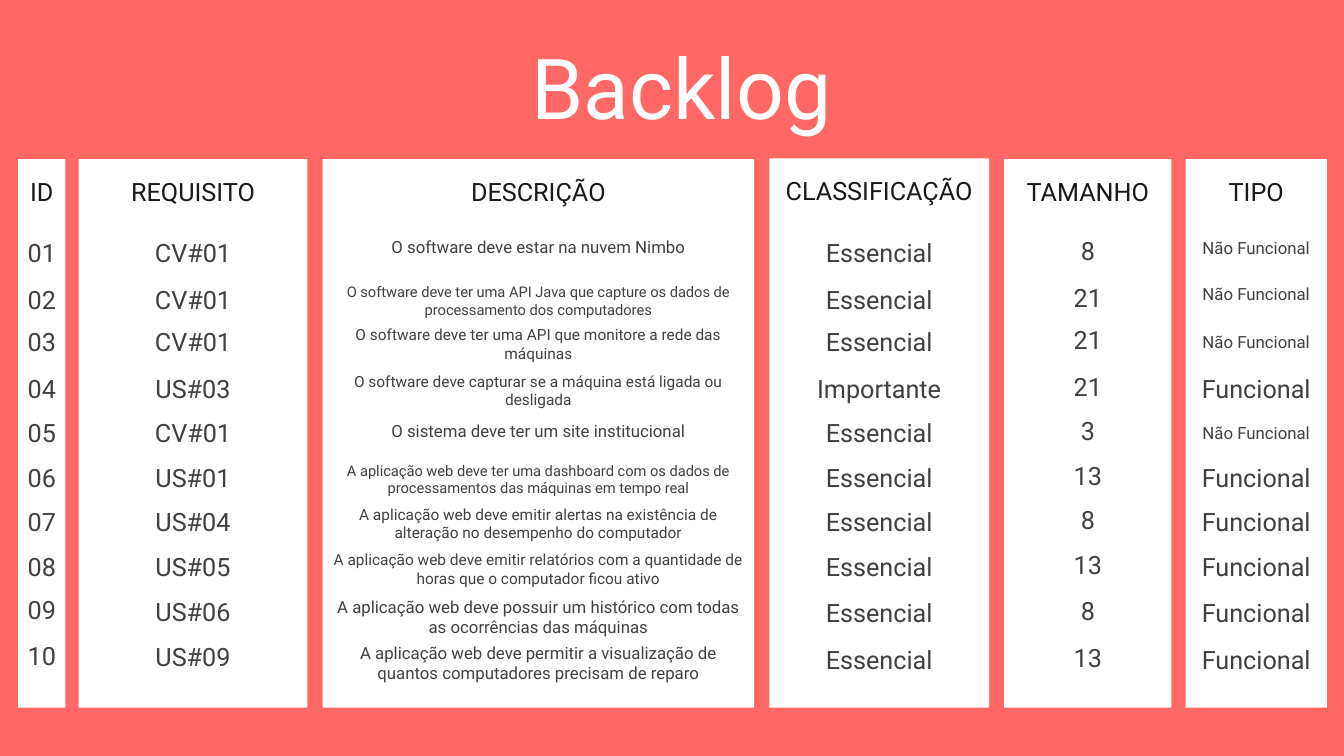
import pptx
import pptx.util
import pptx.dml.color
import pptx.enum.shapes
import pptx.enum.text

Inches = pptx.util.Inches
Pt = pptx.util.Pt
RGBColor = pptx.dml.color.RGBColor

CORAL = RGBColor(0xFF, 0x68, 0x64)
WHITE = RGBColor(0xFF, 0xFF, 0xFF)
HEADING = RGBColor(0x19, 0x19, 0x19)
BODY = RGBColor(0x40, 0x40, 0x40)


def write_text(shape, text, size, color, side_margin=0, end_margin=0, spacing=None):
    frame = shape.text_frame
    frame.text = text
    frame.word_wrap = True
    frame.auto_size = pptx.enum.text.MSO_AUTO_SIZE.SHAPE_TO_FIT_TEXT
    frame.vertical_anchor = pptx.enum.text.MSO_ANCHOR.TOP
    frame.margin_left = frame.margin_right = Inches(side_margin)
    frame.margin_top = frame.margin_bottom = Inches(end_margin)
    paragraph = frame.paragraphs[0]
    paragraph.alignment = pptx.enum.text.PP_ALIGN.CENTER
    if spacing:
        paragraph.line_spacing = Pt(spacing)
    font = paragraph.runs[0].font
    font.name = "Roboto"
    font.size = Pt(size)
    font.color.rgb = color


presentation = pptx.Presentation()
presentation.slide_width = Inches(13.33)
presentation.slide_height = Inches(7.5)
slide = presentation.slides.add_slide(presentation.slide_layouts[5])
slide.background.fill.solid()
slide.background.fill.fore_color.rgb = CORAL

title = slide.shapes.title
title.left, title.top = Inches(0.18), Inches(0.19)
title.width, title.height = Inches(13.16), Inches(1.08)
write_text(title, "Backlog", 60, WHITE, spacing=84)

row_tops = [2.31, 2.77, 3.19, 3.65, 4.09, 4.54, 4.97, 5.42, 5.88, 6.34]

# heading, left, width, card top, shift of cells, tops that differ by row
columns = [
    ("ID", 0.18, 0.47, 1.58, 0, {8: 5.85, 9: 6.3}),
    ("REQUISITO", 0.78, 2.27, 1.58, 0, {8: 5.87, 9: 6.31}),
    ("DESCRIÇÃO", 3.2, 4.28, 1.58, -0.01, {4: 4.12}),
    ("CLASSIFICAÇÃO", 7.63, 2.18, 1.57, 0, {}),
    ("TAMANHO", 9.96, 1.66, 1.58, -0.02, {}),
    ("TIPO", 11.76, 1.4, 1.58, 0, {2: 3.24, 4: 4.14}),
]

requirements = [
    ("CV#01", "O software deve estar na nuvem Nimbo", 12, "Essencial", "8", "Não Funcional"),
    ("CV#01", "O software deve ter uma API Java que capture os dados de processamento dos computadores",
     10.5, "Essencial", "21", "Não Funcional"),
    ("CV#01", "O software deve ter uma API que monitore a rede das máquinas",
     11, "Essencial", "21", "Não Funcional"),
    ("US#03", "O software deve capturar se a máquina está ligada ou desligada",
     11, "Importante", "21", "Funcional"),
    ("CV#01", "O sistema deve ter um site institucional", 12, "Essencial", "3", "Não Funcional"),
    ("US#01", "A aplicação web deve ter uma dashboard com os dados de processamentos das máquinas em tempo real",
     10.5, "Essencial", "13", "Funcional"),
    ("US#04", "A aplicação web deve emitir alertas na existência de alteração no desempenho do computador",
     11, "Essencial", "8", "Funcional"),
    ("US#05", "A aplicação web deve emitir relatórios com a quantidade de horas que o computador ficou ativo",
     11, "Essencial", "13", "Funcional"),
    ("US#06", "A aplicação web deve possuir um histórico com todas as ocorrências das máquinas",
     12, "Essencial", "8", "Funcional"),
    ("US#09", "A aplicação web deve permitir a visualização de quantos computadores precisam de reparo",
     12, "Essencial", "13", "Funcional"),
]

for heading, left, width, card_top, shift, moved_tops in columns:
    card = slide.shapes.add_shape(
        pptx.enum.shapes.MSO_SHAPE.RECTANGLE,
        Inches(left), Inches(card_top), Inches(width), Inches(7.02 - card_top))
    card.shadow.inherit = False
    card.fill.solid()
    card.fill.fore_color.rgb = WHITE
    card.line.fill.background()

    label = slide.shapes.add_textbox(
        Inches(left), Inches(card_top + 0.16), Inches(width), Inches(0.29))
    write_text(label, heading, 18, HEADING, spacing=22.4)

    for index, requirement in enumerate(requirements):
        code, description, description_size, priority, points, kind = requirement
        text = {
            "ID": f"{index + 1:02}",
            "REQUISITO": code,
            "DESCRIÇÃO": description,
            "CLASSIFICAÇÃO": priority,
            "TAMANHO": points,
            "TIPO": kind,
        }[heading]
        size, height, side_margin = 18, 0.4, 0
        if heading == "DESCRIÇÃO":
            size, side_margin = description_size, 0.1
            height = {10.5: 0.45, 11: 0.47, 12: 0.5}[size]
        if text == "Não Funcional" or index in (0, 4) and heading == "DESCRIÇÃO":
            size, height = 12, 0.3
        top = moved_tops.get(index, row_tops[index] + shift)
        cell = slide.shapes.add_textbox(
            Inches(left), Inches(top), Inches(width), Inches(height))
        write_text(cell, text, size, BODY, side_margin, 0.05)

presentation.save("out.pptx")
